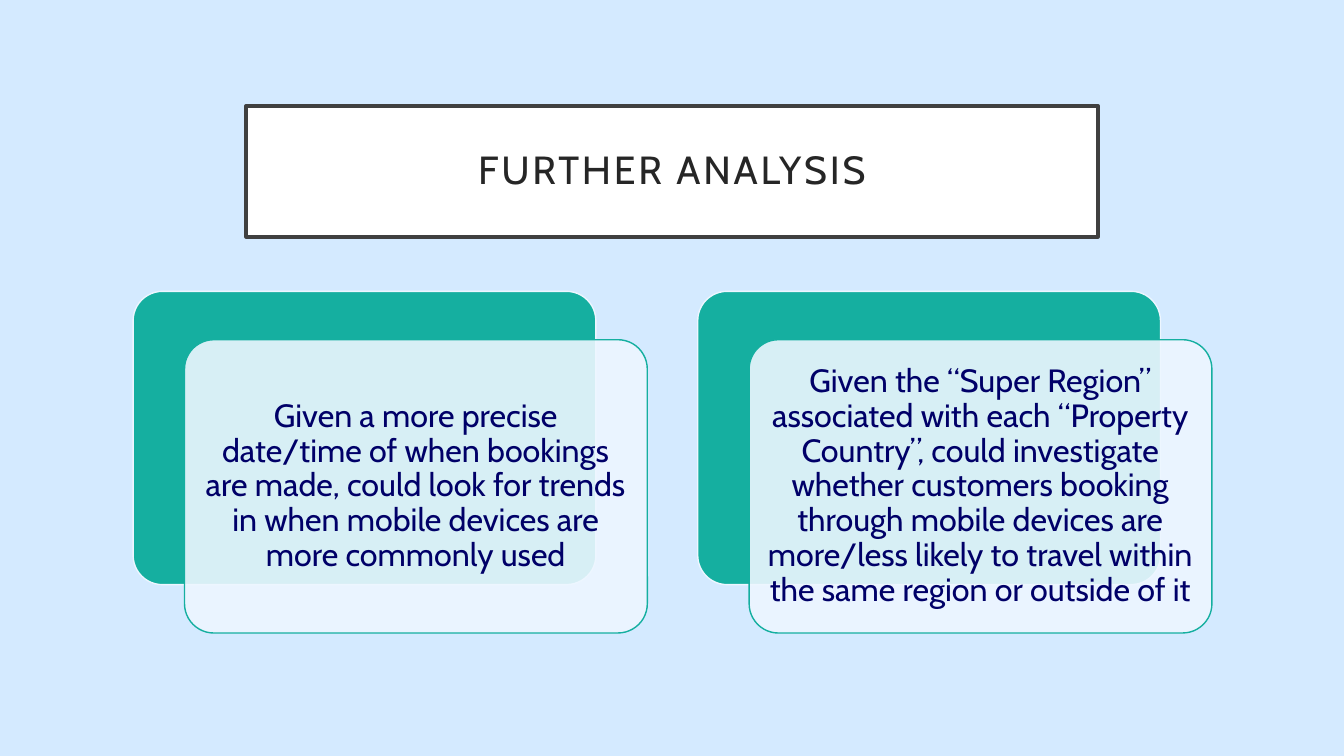
import pptx
import pptx.util
import pptx.dml.color
import pptx.enum.shapes
import pptx.enum.text
import lxml.etree
import pptx.oxml.ns

Inch = pptx.util.Inches
Pt = pptx.util.Pt
Rgb = pptx.dml.color.RGBColor.from_string
HUES = {"back": "D4EAFF", "white": "FFFFFF", "frame": "404040", "head": "262626",
        "teal": "15AFA0", "pale": "EDF6FF", "navy": "000068"}
NOTES = [
    "Given a more precise date/time of when bookings are made, could look for "
    "trends in when mobile devices are more commonly used",
    "Given the “Super Region” associated with each “Property Country”, could "
    "investigate whether customers booking through mobile devices are more/less "
    "likely to travel within the same region or outside of it",
]

# Grid of cards
LEFT, TOP, STEP = 1.32, 2.89, 5.6
WIDE, HIGH = 4.59, 2.91
SHIFT_X, SHIFT_Y, PAD = 0.51, 0.48, 0.085


def write(shape, text, size, hue, inset):
    frame = shape.text_frame
    frame.word_wrap = True
    frame.auto_size = pptx.enum.text.MSO_AUTO_SIZE.NONE
    frame.vertical_anchor = pptx.enum.text.MSO_ANCHOR.MIDDLE
    frame.margin_left = frame.margin_right = Inch(inset)
    frame.margin_top = frame.margin_bottom = Inch(inset)
    para = frame.paragraphs[0]
    para.alignment = pptx.enum.text.PP_ALIGN.CENTER
    para.line_spacing = 0.9
    para.space_before = Pt(0)
    run = para.add_run()
    run.text = text
    run.font.name = "Cabin"
    run.font.size = Pt(size)
    run.font.color.rgb = Rgb(HUES[hue])
    return run


def paint(shape, fill, line, width):
    shape.fill.solid()
    shape.fill.fore_color.rgb = Rgb(HUES[fill])
    shape.line.color.rgb = Rgb(HUES[line])
    shape.line.width = Pt(width)


# Slide and background
deck = pptx.Presentation()
deck.slide_width, deck.slide_height = Inch(13.33), Inch(7.5)
slide = deck.slides.add_slide(deck.slide_layouts[5])
slide.background.fill.solid()
slide.background.fill.fore_color.rgb = Rgb(HUES["back"])

# Title box
title = slide.shapes.title
title.left, title.top = Inch(2.44), Inch(1.05)
title.width, title.height = Inch(8.45), Inch(1.3)
paint(title, "white", "frame", 2.5)
run = write(title, "FURTHER ANALYSIS", 28, "head", 0.2)
run.font._element.set("spc", "200")

# Paired cards: teal behind, pale in front, text on top
for col, note in enumerate(NOTES):
    x = LEFT + col * STEP
    for dx, dy, fill, line in [(0, 0, "teal", "pale"),
                               (SHIFT_X, SHIFT_Y, "pale", "teal")]:
        card = slide.shapes.add_shape(
            pptx.enum.shapes.MSO_SHAPE.ROUNDED_RECTANGLE,
            Inch(x + dx), Inch(TOP + dy), Inch(WIDE), Inch(HIGH))
        card.adjustments[0] = 0.1
        card.shadow.inherit = False
        paint(card, fill, line, 1)

    # Let the teal show through the front card
    tint = card.fill._xPr.find(".//" + pptx.oxml.ns.qn("a:srgbClr"))
    lxml.etree.SubElement(tint, pptx.oxml.ns.qn("a:alpha"), val="90000")

    box = slide.shapes.add_textbox(
        Inch(x + SHIFT_X + PAD), Inch(TOP + SHIFT_Y + PAD),
        Inch(WIDE - 2 * PAD), Inch(HIGH - 2 * PAD))
    write(box, note, 23, "navy", 0.1)

deck.save("out.pptx")
